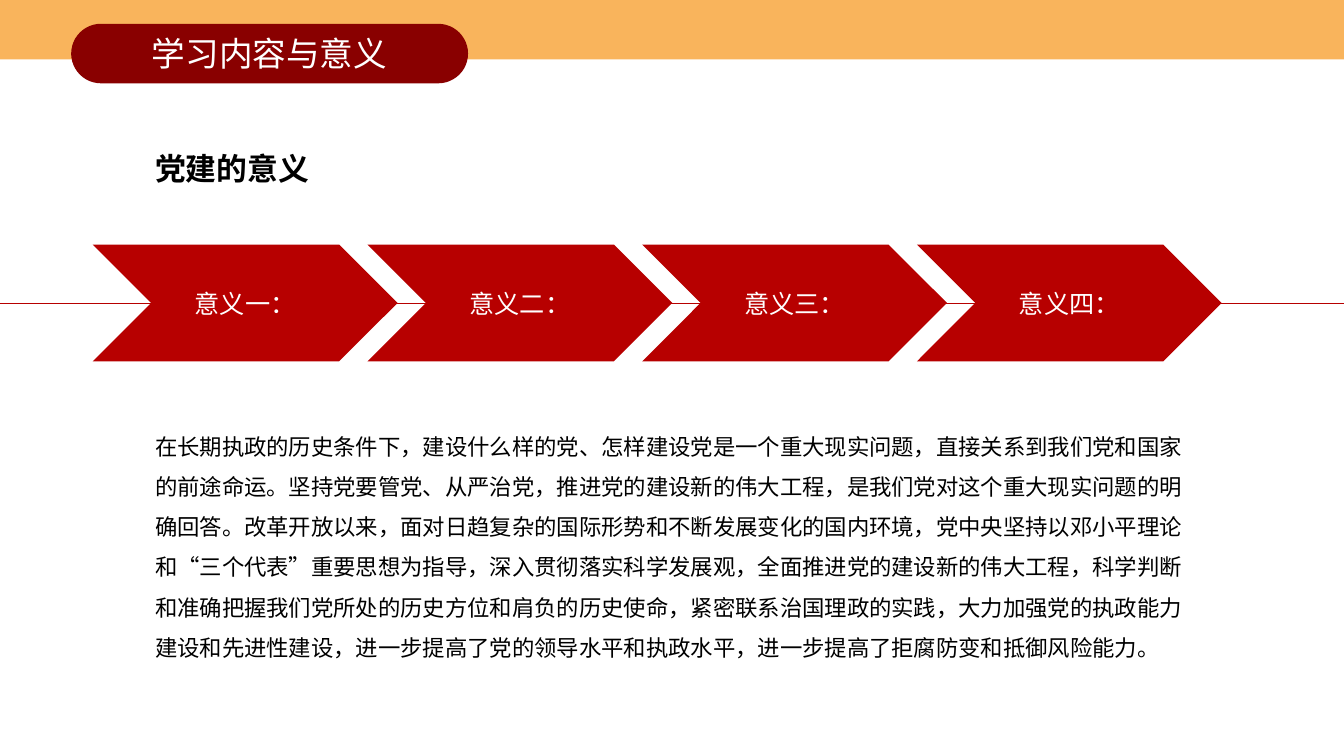
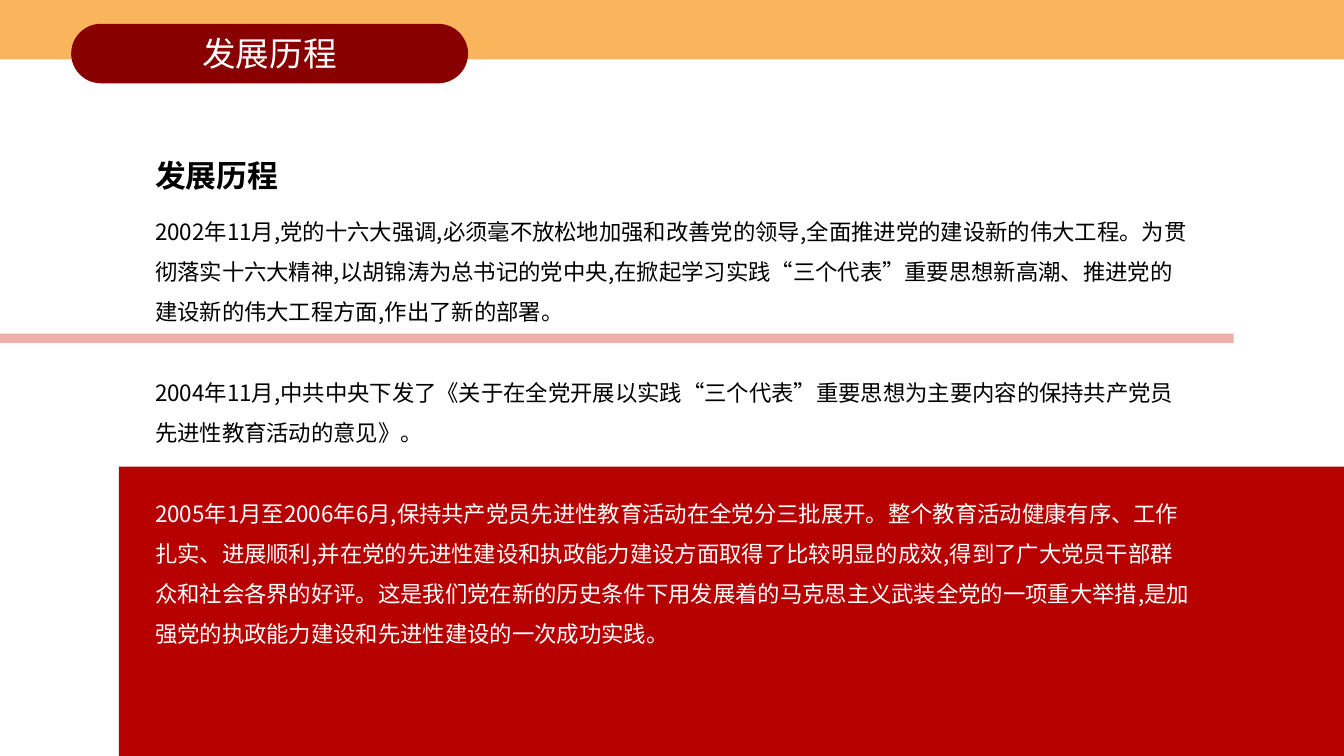
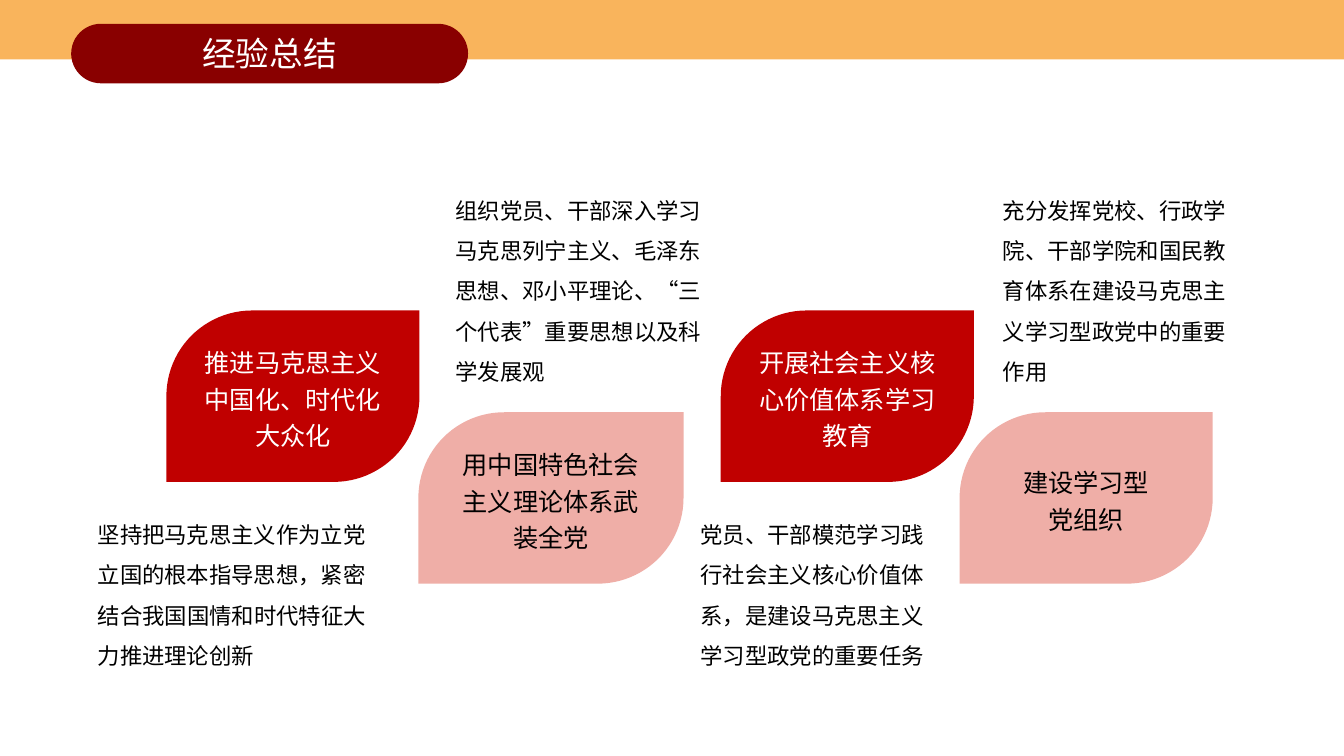
from typing import NamedTuple

from lxml import etree
from pptx import Presentation
from pptx import util as u
from pptx.dml.color import RGBColor
from pptx.enum import shapes, text
from pptx.oxml.ns import qn

FONT = "Noto Sans CJK SC"
BLACK = RGBColor(0x00, 0x00, 0x00)
WHITE = RGBColor(0xFF, 0xFF, 0xFF)
ORANGE = RGBColor(0xF9, 0xB4, 0x5C)
MAROON = RGBColor(0x89, 0x00, 0x00)
RED = RGBColor(0xB7, 0x00, 0x00)
BRIGHT_RED = RGBColor(0xC0, 0x00, 0x00)
PINK = RGBColor(0xEF, 0xAE, 0xA7)

SLIDE_WIDTH, SLIDE_HEIGHT = u.Inches(13.33), u.Inches(7.5)
PARAGRAPH_GAP = 28.7  # points, one body line


class Box(NamedTuple):
    """A region on a grid of 100 columns by 100 rows."""
    left: float
    top: float
    width: float
    height: float

    def emu(self):
        column, row = SLIDE_WIDTH / 100, SLIDE_HEIGHT / 100
        return (round(self.left * column), round(self.top * row),
                round(self.width * column), round(self.height * row))


# Shared building blocks
def write(frame, paragraphs, size, color, bold=False, spacing=1.0,
          align=text.PP_ALIGN.LEFT, gap=0):
    """Fill a frame; each paragraph is a string or a (string, colour) pair."""
    frame.word_wrap = True
    for index, item in enumerate(paragraphs):
        words, ink = item if isinstance(item, tuple) else (item, color)
        paragraph = frame.add_paragraph() if index else frame.paragraphs[0]
        paragraph.alignment = align
        paragraph.line_spacing = spacing
        if index and gap:
            paragraph.space_before = u.Pt(gap)
        run = paragraph.add_run()
        run.text = words
        run.font.size = u.Pt(size)
        run.font.bold = bold
        run.font.color.rgb = ink
        run.font.name = FONT
        latin = run.font._element.find(qn("a:latin"))
        east_asian = etree.Element(qn("a:ea"), typeface=FONT)
        latin.addnext(east_asian)


def add_block(slide, kind, box, fill, adjustments=()):
    shape = slide.shapes.add_shape(kind, *box.emu())
    shape.shadow.inherit = False
    shape.fill.solid()
    shape.fill.fore_color.rgb = fill
    shape.line.fill.background()
    for index, value in enumerate(adjustments):
        shape.adjustments[index] = value
    return shape


def add_label(shape, paragraphs, size, color, spacing=1.0):
    shape.text_frame.vertical_anchor = text.MSO_ANCHOR.MIDDLE
    write(shape.text_frame, paragraphs, size, color, spacing=spacing,
          align=text.PP_ALIGN.CENTER)


def add_text(slide, box, paragraphs, size=16, bold=False, spacing=1.5, gap=0):
    frame = slide.shapes.add_textbox(*box.emu()).text_frame
    write(frame, paragraphs, size, BLACK, bold, spacing, gap=gap)
    frame.auto_size = text.MSO_AUTO_SIZE.SHAPE_TO_FIT_TEXT


def add_heading(slide, top, words):
    add_text(slide, Box(10.8, top, 15.7, 6.27), [words], 22, True, 1.0)


def add_header(slide, title):
    """Orange band with the title pill."""
    band = Box(0, 0, 100, 7.87)
    add_block(slide, shapes.MSO_SHAPE.RECTANGLE, band, ORANGE)
    pill = add_block(slide, shapes.MSO_SHAPE.ROUNDED_RECTANGLE,
                     Box(5.3, 0.4 * band.height, 29.53, band.height),
                     MAROON, [0.5])
    add_label(pill, [title], 24, WHITE)


# Regions
def add_chevron_row(slide, box, labels):
    """Overlapping chevrons spread over the box, on a line across the slide."""
    middle = round((box.top + box.height / 2) * SLIDE_HEIGHT / 100)
    line = slide.shapes.add_connector(shapes.MSO_CONNECTOR.STRAIGHT,
                                      0, middle, SLIDE_WIDTH, middle)
    line.line.color.rgb = RED
    line.line.width = u.Pt(0.5)
    etree.SubElement(line._element.spPr, qn("a:effectLst"))

    width = 0.27 * box.width
    pitch = (box.width - width) / (len(labels) - 1)
    for index, label in enumerate(labels):
        chevron = add_block(
            slide, shapes.MSO_SHAPE.CHEVRON,
            Box(box.left + index * pitch, box.top, width, box.height), RED)
        add_label(chevron, [label], 18, WHITE)


def add_leaf(slide, box, paragraphs, fill, color):
    leaf = add_block(slide, shapes.MSO_SHAPE.ROUND_2_DIAG_RECTANGLE, box,
                     fill, [0.5, 0])
    add_label(leaf, paragraphs, 18, color, 1.2)


# Slides
def build_meaning(slide):
    add_heading(slide, 19.2, "党建的意义")
    add_text(slide, Box(10.8, 54.8, 78.45, 33.6), [
        "在长期执政的历史条件下，建设什么样的党、怎样建设党是一个重大现实问题，"
        "直接关系到我们党和国家的前途命运。坚持党要管党、从严治党，推进党的建设新的伟大工程，"
        "是我们党对这个重大现实问题的明确回答。改革开放以来，"
        "面对日趋复杂的国际形势和不断发展变化的国内环境，"
        "党中央坚持以邓小平理论和“三个代表”重要思想为指导，深入贯彻落实科学发展观，"
        "全面推进党的建设新的伟大工程，科学判断和准确把握我们党所处的历史方位和肩负的历史使命，"
        "紧密联系治国理政的实践，大力加强党的执政能力建设和先进性建设，"
        "进一步提高了党的领导水平和执政水平，进一步提高了拒腐防变和抵御风险能力。"])
    add_header(slide, "学习内容与意义")
    add_chevron_row(slide, Box(6.9, 32.35, 84, 15.45),
                    [f"意义{number}：" for number in "一二三四"])


def build_history(slide):
    # Divider and the red panel behind the last paragraph
    add_block(slide, shapes.MSO_SHAPE.RECTANGLE, Box(0, 44.13, 91.8, 1.25), PINK)
    add_block(slide, shapes.MSO_SHAPE.RECTANGLE,
              Box(8.85, 61.73, 91.15, 38.27), RED)
    add_heading(slide, 20.13, "发展历程")
    add_text(slide, Box(10.8, 26.4, 78.45, 60.5), [
        "2002年11月,党的十六大强调,必须毫不放松地加强和改善党的领导,"
        "全面推进党的建设新的伟大工程。为贯彻落实十六大精神,以胡锦涛为总书记的党中央,"
        "在掀起学习实践“三个代表”重要思想新高潮、推进党的建设新的伟大工程方面,"
        "作出了新的部署。",
        "2004年11月,中共中央下发了《关于在全党开展以实践“三个代表”重要思想"
        "为主要内容的保持共产党员先进性教育活动的意见》。",
        ("2005年1月至2006年6月,保持共产党员先进性教育活动在全党分三批展开。"
         "整个教育活动健康有序、工作扎实、进展顺利,"
         "并在党的先进性建设和执政能力建设方面取得了比较明显的成效,"
         "得到了广大党员干部群众和社会各界的好评。"
         "这是我们党在新的历史条件下用发展着的马克思主义武装全党的一项重大举措,"
         "是加强党的执政能力建设和先进性建设的一次成功实践。", WHITE),
    ], gap=PARAGRAPH_GAP)
    add_header(slide, "发展历程")


def build_summary(slide):
    high, low, leaf_height = 41.07, 54.53, 22.67
    leaves = [
        (12.38, high, 18.83, ["推进马克思主义中国化、时代化", "大众化"]),
        (31.13, low, 19.73, ["用中国特色社会主义理论体系武装全党"]),
        (53.63, high, 18.83, ["开展社会主义核心价值体系学习教育"]),
        (71.4, low, 18.83, ["建设学习型", "党组织"]),
    ]
    for left, top, width, paragraphs in leaves:
        fill, color = (BRIGHT_RED, WHITE) if top == high else (PINK, BLACK)
        add_leaf(slide, Box(left, top, width, leaf_height), paragraphs,
                 fill, color)

    # Notes sit below the high leaves and above the low ones
    below, above = (66.53, 22.93), (23.6, 28.27)
    notes = [
        (6.53, 22.65, below, "坚持把马克思主义作为立党立国的根本指导思想，"
                             "紧密结合我国国情和时代特征大力推进理论创新"),
        (33.15, 21.08, above, "组织党员、干部深入学习马克思列宁主义、毛泽东思想、"
                              "邓小平理论、“三个代表”重要思想以及科学发展观"),
        (51.38, 19.35, below, "党员、干部模范学习践行社会主义核心价值体系，"
                              "是建设马克思主义学习型政党的重要任务"),
        (73.88, 19.35, above, "充分发挥党校、行政学院、干部学院和国民教育体系"
                              "在建设马克思主义学习型政党中的重要作用"),
    ]
    for left, width, (top, height), words in notes:
        add_text(slide, Box(left, top, width, height), [words])
    add_header(slide, "经验总结")


def main():
    presentation = Presentation()
    presentation.slide_width = SLIDE_WIDTH
    presentation.slide_height = SLIDE_HEIGHT
    blank = presentation.slide_layouts[6]
    for build in (build_meaning, build_history, build_summary):
        build(presentation.slides.add_slide(blank))
    presentation.save("out.pptx")


if __name__ == "__main__":
    main()
